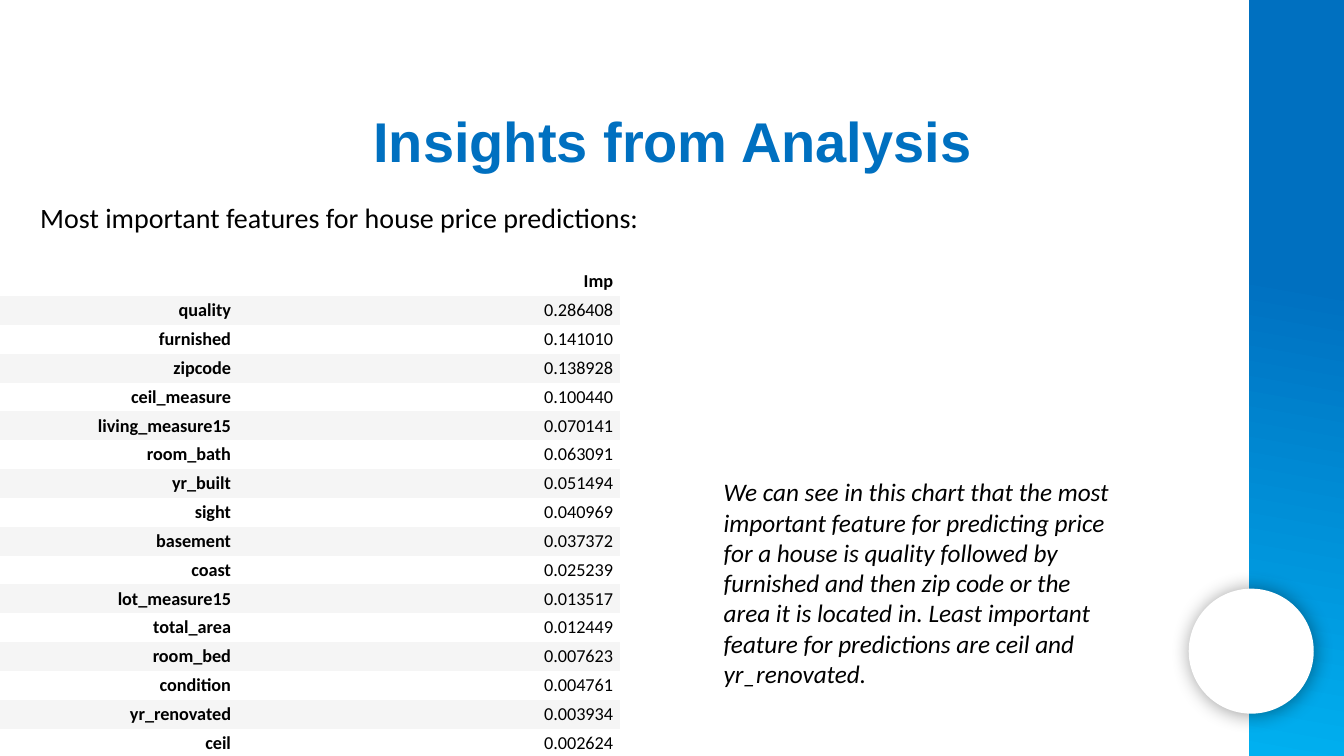
from lxml.etree import SubElement
from pptx import Presentation
from pptx.dml.color import RGBColor
from pptx.enum.shapes import MSO_SHAPE
from pptx.enum.text import MSO_ANCHOR, PP_ALIGN
from pptx.oxml.ns import qn
from pptx.util import Pt

PX = 9144
BLUE, CYAN, BLACK, WHITE, BAND = "0070C0", "00B0F0", "000000", "FFFFFF", "F5F5F5"
NO_GRID = "{2D5ABB26-0587-4C30-8999-92F81FD0307C}"
IMPORTANCES = [
    ("", "Imp"),
    ("quality", "0.286408"),
    ("furnished", "0.141010"),
    ("zipcode", "0.138928"),
    ("ceil_measure", "0.100440"),
    ("living_measure15", "0.070141"),
    ("room_bath", "0.063091"),
    ("yr_built", "0.051494"),
    ("sight", "0.040969"),
    ("basement", "0.037372"),
    ("coast", "0.025239"),
    ("lot_measure15", "0.013517"),
    ("total_area", "0.012449"),
    ("room_bed", "0.007623"),
    ("condition", "0.004761"),
    ("yr_renovated", "0.003934"),
    ("ceil", "0.002624"),
]


def color(value):
    return RGBColor.from_string(value)


def emu(*lengths):
    return [n * PX for n in lengths]


def add_run(p, text, size, font="Calibri", fill=BLACK, bold=False, italic=False):
    r = p.add_run()
    r.text = text
    r.font.size = Pt(size)
    r.font.name = font
    r.font.color.rgb = color(fill)
    r.font.bold = bold
    r.font.italic = italic


def add_shadow(sp):
    sp.shadow.inherit = False
    effects = sp._element.spPr.find(qn("a:effectLst"))
    shadow = SubElement(effects, qn("a:outerShdw"), blurRad=str(Pt(14)),
                        dist=str(Pt(1)), dir=str(43 * 60000), rotWithShape="0")
    tint = SubElement(shadow, qn("a:srgbClr"), val=BLACK)
    SubElement(tint, qn("a:alpha"), val="40000")


def add_side_bar(s, x, y, w, h):
    bar = s.shapes.add_shape(MSO_SHAPE.RECTANGLE, *emu(x, y, w, h))
    bar.shadow.inherit = False
    bar.line.fill.background()
    bar.fill.gradient()
    bar.fill.gradient_angle = 260
    for stop, (position, value) in zip(bar.fill.gradient_stops, [(0.37, BLUE), (1, CYAN)]):
        stop.position = position
        stop.color.rgb = color(value)

    disc = s.shapes.add_shape(MSO_SHAPE.OVAL, *emu(x - 60, y + h - 166, 124, 124))
    disc.line.fill.background()
    disc.fill.solid()
    disc.fill.fore_color.rgb = color(WHITE)
    add_shadow(disc)


def set_title(s, text, x, y, w, h):
    sp = s.shapes.title
    sp.left, sp.top, sp.width, sp.height = emu(x, y, w, h)
    tf = sp.text_frame
    tf.vertical_anchor = MSO_ANCHOR.MIDDLE
    p = tf.paragraphs[0]
    p.alignment = PP_ALIGN.CENTER
    add_run(p, text, 40, font="Arial", fill=BLUE, bold=True)


def add_text(s, text, size, x, y, w, h, italic=False):
    tf = s.shapes.add_textbox(*emu(x, y, w, h)).text_frame
    tf.word_wrap = True
    add_run(tf.paragraphs[0], text, size, italic=italic)


def add_importance_table(s, rows, x, y, w, h):
    table = s.shapes.add_table(len(rows), 2, *emu(x, y, w, h)).table
    table.first_row = table.horz_banding = False
    table._tbl.tblPr.find(qn("a:tableStyleId")).text = NO_GRID
    for i, row in enumerate(rows):
        for j, text in enumerate(row):
            cell = table.cell(i, j)
            cell.fill.solid()
            cell.fill.fore_color.rgb = color(BAND if i % 2 else WHITE)
            cell.vertical_anchor = MSO_ANCHOR.MIDDLE
            cell.margin_left, cell.margin_right = emu(7, 7)
            cell.margin_top, cell.margin_bottom = emu(3, 3)
            p = cell.text_frame.paragraphs[0]
            p.alignment = PP_ALIGN.RIGHT
            if text:
                add_run(p, text, 13, bold=i == 0 or j == 0)
            else:
                SubElement(p._p, qn("a:endParaRPr"), sz="1300")


def build_insights_slide(prs):
    s = prs.slides.add_slide(prs.slide_layouts[5])
    add_side_bar(s, 1239, 0, 94, 750)
    set_title(s, "Insights from Analysis", 83, 101, 1168, 77)
    add_text(s, "Most important features for house price predictions:",
             20, 30, 194, 1170, 71)
    add_text(s, "We can see in this chart that the most important feature for "
                "predicting price for a house is quality followed by furnished and "
                "then zip code or the area it is located in. Least important "
                "feature for predictions are ceil and yr_renovated.",
             18, 708, 468, 404, 222, italic=True)
    add_importance_table(s, IMPORTANCES, -143, 265, 758, 487)


def main():
    prs = Presentation()
    prs.slide_width, prs.slide_height = emu(1333, 750)
    build_insights_slide(prs)
    prs.save("out.pptx")


if __name__ == "__main__":
    main()
